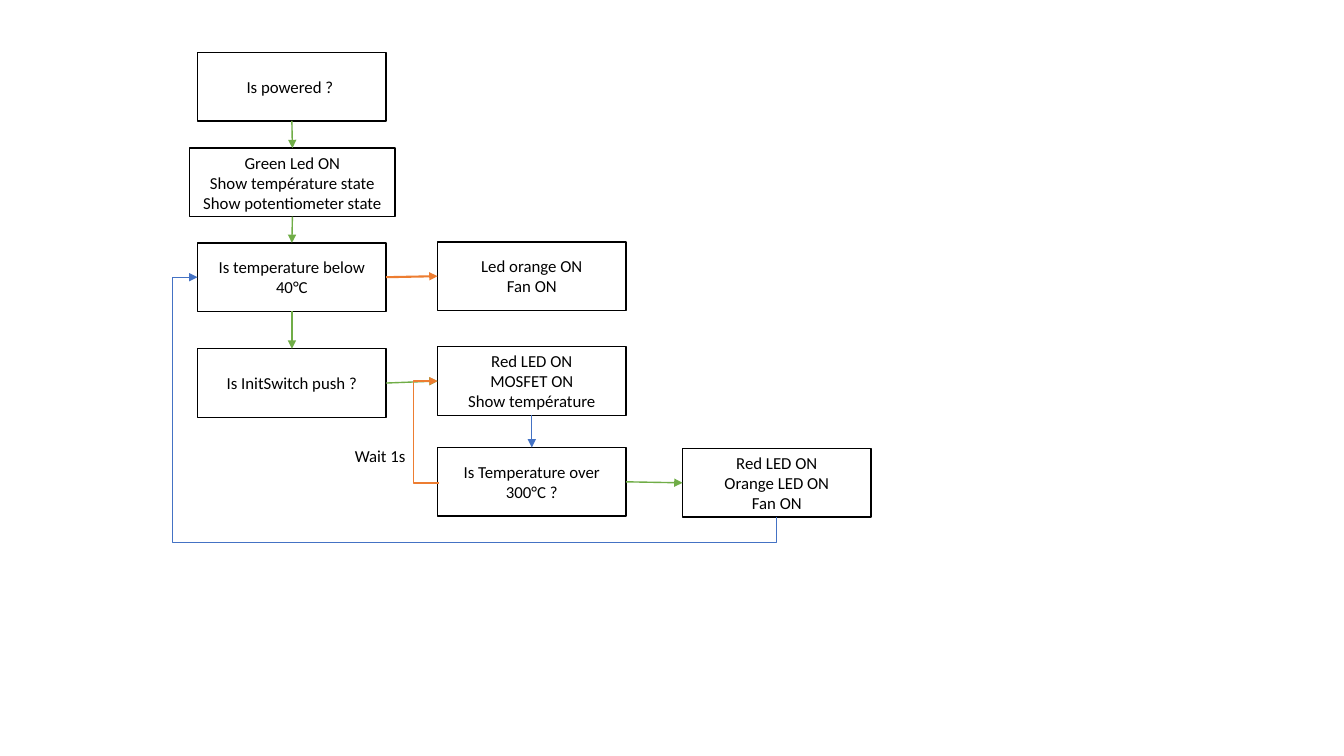
import pptx
import pptx.util
import pptx.dml.color
import pptx.enum.shapes
import pptx.enum.text
import pptx.oxml
import pptx.oxml.ns

PX = 9144
BLACK, WHITE = "000000", "FFFFFF"
GREEN, ORANGE, BLUE = "70AD47", "ED7D31", "4472C4"
TOP, LEFT, BOTTOM, RIGHT = range(4)
STEP_WIDTH, STEP_HEIGHT = 187, 68
ELBOW_GAP = 25


def px(length):
    return pptx.util.Emu(length * PX)


def color(hex_string):
    return pptx.dml.color.RGBColor.from_string(hex_string)


def format_text(text_frame, alignment):
    for paragraph in text_frame.paragraphs:
        paragraph.alignment = alignment
        for run in paragraph.runs:
            run.font.name = "Calibri"
            run.font.size = pptx.util.Pt(12)
            run.font.color.rgb = color(BLACK)


def add_step(slide, left, top, text, width=STEP_WIDTH):
    shape = slide.shapes.add_shape(
        pptx.enum.shapes.MSO_SHAPE.RECTANGLE,
        px(left), px(top), px(width), px(STEP_HEIGHT))
    shape.shadow.inherit = False
    shape.fill.solid()
    shape.fill.fore_color.rgb = color(WHITE)
    shape.line.color.rgb = color(BLACK)
    shape.line.width = pptx.util.Pt(1)
    shape.text_frame.text = text
    shape.text_frame.word_wrap = True
    shape.text_frame.vertical_anchor = pptx.enum.text.MSO_ANCHOR.MIDDLE
    format_text(shape.text_frame, pptx.enum.text.PP_ALIGN.CENTER)
    return shape


def add_arrow(slide, begin, begin_side, end, end_side, line_color, width=1,
              kind=pptx.enum.shapes.MSO_CONNECTOR.STRAIGHT):
    connector = slide.shapes.add_connector(kind, 0, 0, 0, 0)
    connector.begin_connect(begin, begin_side)
    connector.end_connect(end, end_side)
    connector.line.color.rgb = color(line_color)
    connector.line.width = pptx.util.Pt(width)
    line = connector.line._get_or_add_ln()
    head = pptx.oxml.parse_xml(
        f'<a:tailEnd {pptx.oxml.ns.nsdecls("a")} type="triangle"/>')
    line.append(head)
    connector._element.spPr.append(
        pptx.oxml.parse_xml(f'<a:effectLst {pptx.oxml.ns.nsdecls("a")}/>'))
    return connector


def bend(connector, preset, box, rotation, flipped, adjustments):
    connector.left, connector.top, connector.width, connector.height = map(px, box)
    transform = connector._element.spPr.find(pptx.oxml.ns.qn("a:xfrm"))
    for flip in ("flipH", "flipV"):
        transform.attrib.pop(flip, None)
    transform.set("rot", str(rotation * 60000))
    if flipped:
        transform.set("flipH", "1")
    geometry = connector._element.spPr.find(pptx.oxml.ns.qn("a:prstGeom"))
    geometry.set("prst", preset)
    for child in list(geometry):
        geometry.remove(child)
    guides = "".join(
        f'<a:gd name="adj{number}" fmla="val {round(share * 100000)}"/>'
        for number, share in enumerate(adjustments, 1))
    geometry.append(pptx.oxml.parse_xml(
        f'<a:avLst {pptx.oxml.ns.nsdecls("a")}>{guides}</a:avLst>'))


def add_label(slide, left, top, width, height, text):
    label = slide.shapes.add_textbox(px(left), px(top), px(width), px(height))
    label.text_frame.text = text
    label.text_frame.word_wrap = False
    label.text_frame.auto_size = pptx.enum.text.MSO_AUTO_SIZE.SHAPE_TO_FIT_TEXT
    format_text(label.text_frame, pptx.enum.text.PP_ALIGN.LEFT)


def add_flowchart(slide, left, top):
    middle, right = left + 238, left + 481
    powered = add_step(slide, left, top, "Is powered ? ")
    status = add_step(
        slide, left - 8, top + 95,
        "Green Led ON\nShow température state\nShow potentiometer state", 204)
    below = add_step(slide, left, top + 189, "Is temperature below 40°C")
    cooling = add_step(slide, middle, top + 188, "Led orange ON\nFan ON")
    switch = add_step(slide, left, top + 294, "Is InitSwitch push ?")
    heating = add_step(slide, middle, top + 292,
                       "Red LED ON\nMOSFET ON\nShow température")
    over = add_step(slide, middle, top + 392, "Is Temperature over 300°C ?")
    alarm = add_step(slide, right, top + 393, "Red LED ON\nOrange LED ON\nFan ON")

    for begin, end in ((powered, status), (status, below), (below, switch)):
        add_arrow(slide, begin, BOTTOM, end, TOP, GREEN)
    add_arrow(slide, below, RIGHT, cooling, LEFT, ORANGE, 1.5)
    add_arrow(slide, switch, RIGHT, heating, LEFT, GREEN)
    add_arrow(slide, over, RIGHT, alarm, LEFT, GREEN)
    add_arrow(slide, heating, BOTTOM, over, TOP, BLUE, 0.5)

    elbow = pptx.enum.shapes.MSO_CONNECTOR.ELBOW
    retry = add_arrow(slide, over, LEFT, heating, LEFT, ORANGE, 1, elbow)
    bend(retry, "bentConnector3", (middle, top + 326, 1, 101),
         180, False, [ELBOW_GAP])
    add_label(slide, left + 146, top + 385, 71, 30, "Wait 1s")

    restart = add_arrow(slide, alarm, BOTTOM, below, LEFT, BLUE, 0.5, elbow)
    rise, run = 238, 574
    bend(restart, "bentConnector4",
         (left + (run - rise) // 2, top + 223 - (run - rise) // 2, rise, run),
         90, True, [-ELBOW_GAP / rise, 1 + ELBOW_GAP / run])


def main():
    presentation = pptx.Presentation()
    presentation.slide_width = px(1333)
    presentation.slide_height = px(750)
    slide = presentation.slides.add_slide(presentation.slide_layouts[6])
    add_flowchart(slide, 196, 52)
    presentation.save("out.pptx")


if __name__ == "__main__":
    main()
